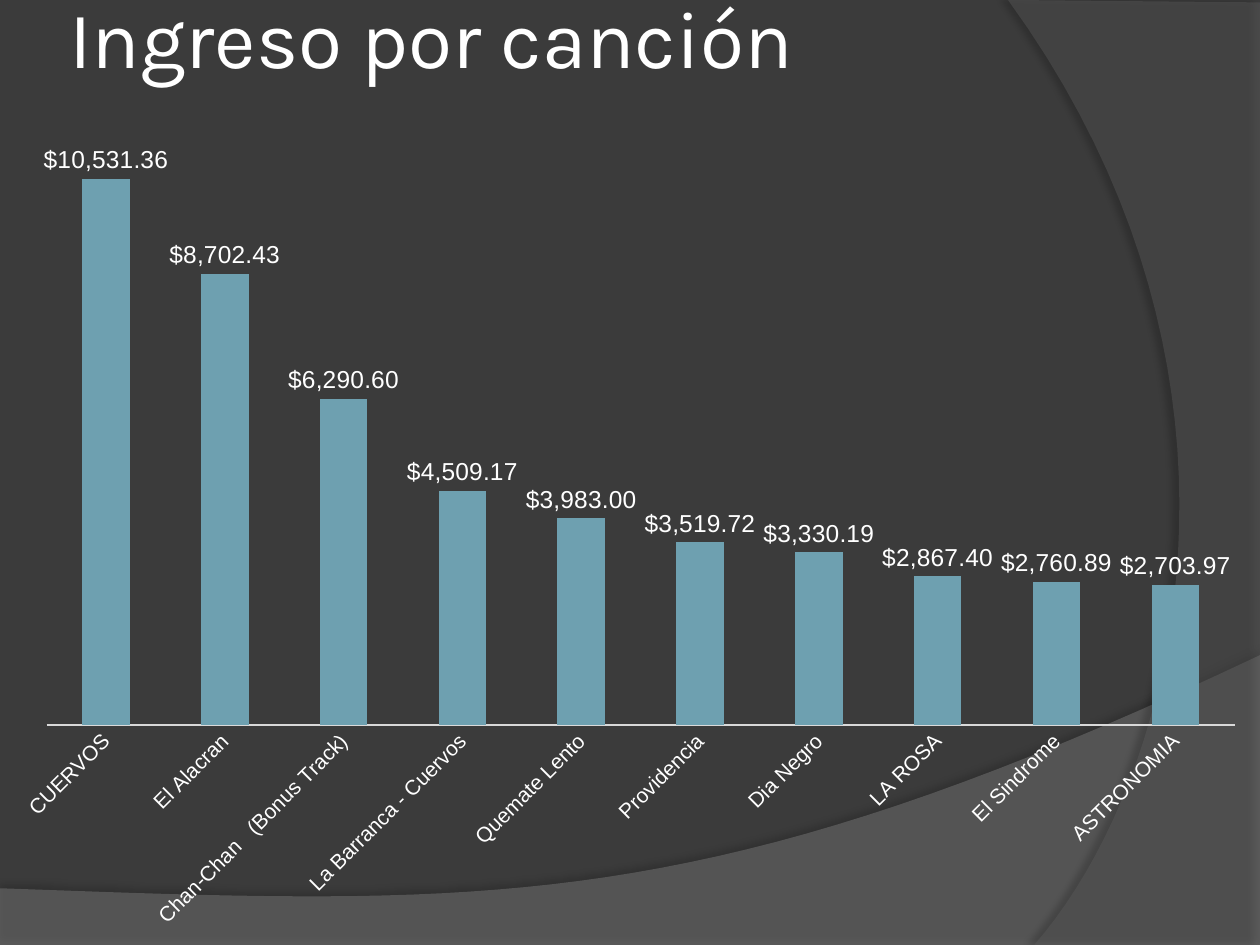
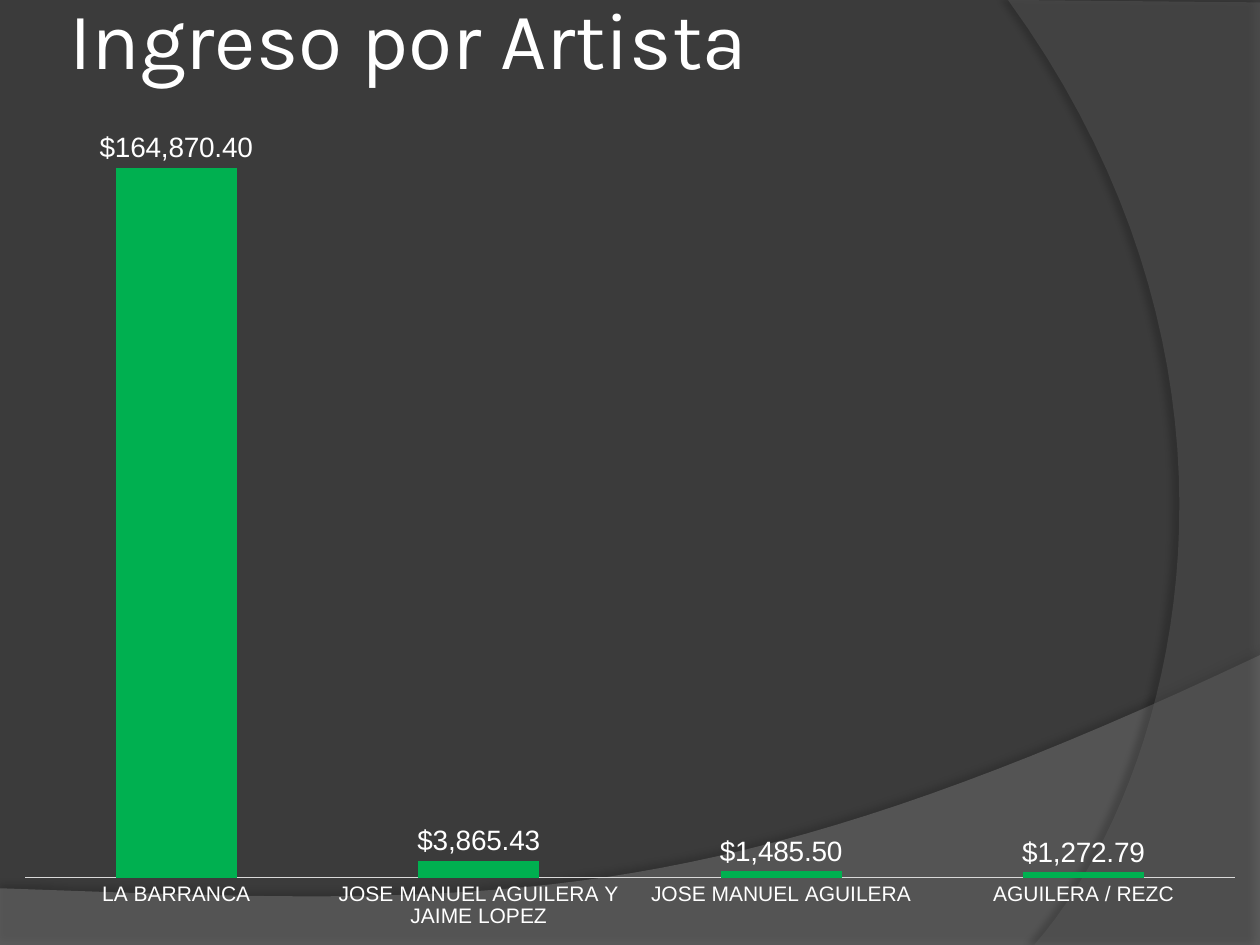
from lxml.etree import SubElement
from pptx import Presentation
from pptx.chart.data import CategoryChartData
from pptx.dml.color import RGBColor
from pptx.enum.chart import XL_CHART_TYPE, XL_LABEL_POSITION, XL_TICK_MARK
from pptx.enum.text import MSO_ANCHOR, MSO_AUTO_SIZE, PP_ALIGN
from pptx.oxml import parse_xml
from pptx.oxml.ns import nsdecls, qn
from pptx.util import Pt

WIDTH, HEIGHT = 720, 540
MONEY = '"$"#,##0.00'
CURVE_STEPS = 40

BANDS = [
    dict(start=(0, 507.6),
         steps=[[(0, HEIGHT)], [(WIDTH, HEIGHT)], [(WIDTH, 374.4)],
                [(402.5, 524.9), (281.5, 517.7), (0, 507.6)]],
         color="7F7F7F", opacity=45,
         shadow=dict(opacity=35, blur=4, distance=3.5, angle=270)),
    dict(start=(WIDTH, 1.4),
         steps=[[(WIDTH, HEIGHT)], [(591, HEIGHT)],
                [(673.2, 445.7), (733, 216), (576, 0)]],
         color="5E5E5E", opacity=40,
         shadow=dict(opacity=45, blur=4, distance=4, angle=180)),
]

SLIDES = [
    dict(title="Ingreso por canción", title_box=(36, -24.5, 648, 90),
         values={"CUERVOS": 10531.36, "El Alacran": 8702.43,
                 "Chan-Chan   (Bonus Track)": 6290.6,
                 "La Barranca - Cuervos": 4509.17, "Quemate Lento": 3983,
                 "Providencia": 3519.72, "Dia Negro": 3330.19,
                 "LA ROSA": 2867.4, "El Sindrome": 2760.89,
                 "ASTRONOMIA": 2703.97},
         color="6EA0B0", label_size=14, maximum=12000, rotation=-45,
         plot_area=dict(x=0.037, y=0.02, w=0.943, h=0.724)),
    dict(title="Ingreso por Artista", title_box=(36, -23.8, 588, 90),
         values={"LA BARRANCA": 164870.4,
                 "JOSE MANUEL AGUILERA Y JAIME LOPEZ": 3865.43,
                 "JOSE MANUEL AGUILERA": 1485.5, "AGUILERA / REZC": 1272.79},
         color="00B050", label_size=16, maximum=180000, rotation=0,
         plot_area=dict(x=0.02, y=0.02, w=0.96, h=0.902)),
]


def rgb(value):
    return RGBColor.from_string(value)


def assign(target, values):
    for name, value in values.items():
        setattr(target, name, value)


def curve_points(start, first, second, end):
    for step in range(1, CURVE_STEPS + 1):
        t = step / CURVE_STEPS
        weights = ((1 - t) ** 3, 3 * t * (1 - t) ** 2, 3 * t * t * (1 - t), t ** 3)
        yield tuple(sum(weight * point[axis] for weight, point
                        in zip(weights, (start, first, second, end)))
                    for axis in (0, 1))


class Deck:
    background = "3B3B3B"
    text_color = "FFFFFF"
    axis_color = "D9D9D9"
    title_font = dict(name="Karla", size=Pt(46), bold=False)
    title_frame = dict(vertical_anchor=MSO_ANCHOR.MIDDLE, word_wrap=True,
                       auto_size=MSO_AUTO_SIZE.NONE, margin_left=Pt(3.6),
                       margin_right=Pt(3.6), margin_top=Pt(3.6),
                       margin_bottom=Pt(3.6))

    def __init__(self):
        self.presentation = Presentation()
        assign(self.presentation, dict(slide_width=Pt(WIDTH), slide_height=Pt(HEIGHT)))
        fill = self.presentation.slide_master.background.fill
        fill.solid()
        fill.fore_color.rgb = rgb(self.background)
        self.slide = None

    def add_slide(self):
        self.slide = self.presentation.slides.add_slide(self.presentation.slide_layouts[5])
        for band in BANDS:
            self.band(**band)

    def set_font(self, font, **values):
        assign(font, values)
        font.color.rgb = rgb(self.text_color)

    def band(self, start, steps, color, opacity, shadow):
        points = [start]
        for step in steps:
            points.extend(step if len(step) == 1 else curve_points(points[-1], *step))
        corners = [(Pt(x), Pt(y)) for x, y in points]
        builder = self.slide.shapes.build_freeform(*corners[0])
        builder.add_line_segments(corners[1:], close=True)
        shape = builder.convert_to_shape()
        shape.fill.solid()
        shape.fill.fore_color.rgb = rgb(color)
        fill_color = shape._element.spPr.find(qn("a:solidFill"))[0]
        SubElement(fill_color, qn("a:alpha"), val=str(opacity * 1000))
        shape.line.fill.background()
        shape.shadow.inherit = False
        effects = shape._element.spPr.find(qn("a:effectLst"))
        outer = SubElement(effects, qn("a:outerShdw"), blurRad=str(Pt(shadow["blur"])),
                           dist=str(Pt(shadow["distance"])),
                           dir=str(shadow["angle"] * 60000), rotWithShape="0")
        shadow_color = SubElement(outer, qn("a:srgbClr"), val="000000")
        SubElement(shadow_color, qn("a:alpha"), val=str(shadow["opacity"] * 1000))

    def title(self, text, box):
        title = self.slide.shapes.title
        assign(title, dict(zip(("left", "top", "width", "height"), map(Pt, box))))
        assign(title.text_frame, self.title_frame)
        title.text_frame.text = text
        paragraph = title.text_frame.paragraphs[0]
        paragraph.alignment = PP_ALIGN.LEFT
        self.set_font(paragraph.runs[0].font, **self.title_font)

    def column_chart(self, values, color, label_size, maximum, rotation, plot_area):
        data = CategoryChartData(number_format=MONEY)
        data.categories = list(values)
        data.add_series("Series 1", list(values.values()))
        chart = self.slide.shapes.add_chart(
            XL_CHART_TYPE.COLUMN_CLUSTERED, Pt(0), Pt(49), Pt(WIDTH), Pt(491), data).chart
        assign(chart, dict(has_title=False, has_legend=False))
        self.set_font(chart.font, name="Arial", size=Pt(10))
        self.axes(chart, maximum, rotation)
        self.columns(chart.plots[0], color, label_size)
        self.place_plot(chart, plot_area)

    def axes(self, chart, maximum, rotation):
        assign(chart.value_axis, dict(visible=False, has_major_gridlines=False,
                                      minimum_scale=0, maximum_scale=maximum))
        chart.value_axis.tick_labels.number_format = MONEY
        axis = chart.category_axis
        assign(axis, dict(major_tick_mark=XL_TICK_MARK.NONE,
                          minor_tick_mark=XL_TICK_MARK.NONE,
                          has_major_gridlines=False))
        axis.format.line.color.rgb = rgb(self.axis_color)
        axis.format.line.width = Pt(0.75)
        self.set_font(axis.tick_labels.font, name="Arial", size=Pt(12))
        body = axis._element.find(qn("c:txPr")).find(qn("a:bodyPr"))
        body.set("rot", str(rotation * 60000))

    def columns(self, plot, color, label_size):
        assign(plot, dict(gap_width=150, overlap=-25, vary_by_categories=False,
                          has_data_labels=True))
        fill = plot.series[0].format.fill
        fill.solid()
        fill.fore_color.rgb = rgb(color)
        assign(plot.data_labels, dict(show_value=True, number_format=MONEY,
                                      number_format_is_linked=False,
                                      position=XL_LABEL_POSITION.OUTSIDE_END))
        self.set_font(plot.data_labels.font, name="Arial", size=Pt(label_size))

    def place_plot(self, chart, plot_area):
        area = chart._chartSpace.find(qn("c:chart")).find(qn("c:plotArea"))
        for layout in area.findall(qn("c:layout")):
            area.remove(layout)
        places = "".join(f'<c:{key} val="{value}"/>' for key, value in plot_area.items())
        area.insert(0, parse_xml(
            f'<c:layout {nsdecls("c")}><c:manualLayout><c:layoutTarget val="inner"/>'
            f'<c:xMode val="edge"/><c:yMode val="edge"/>{places}'
            f'</c:manualLayout></c:layout>'))


def main():
    deck = Deck()
    for content in SLIDES:
        chart = dict(content)
        deck.add_slide()
        deck.title(chart.pop("title"), chart.pop("title_box"))
        deck.column_chart(**chart)
    deck.presentation.save("out.pptx")


if __name__ == "__main__":
    main()
